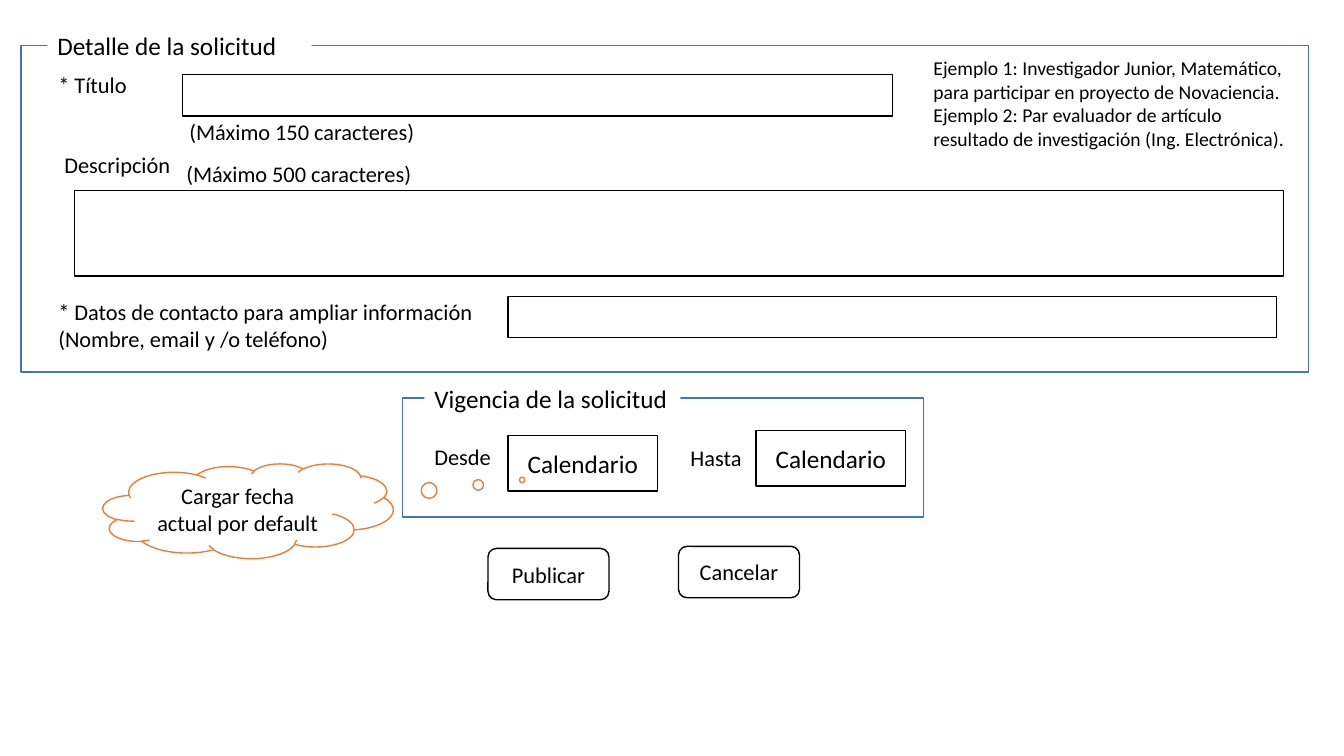
from pptx import Presentation
from pptx.dml.color import RGBColor
from pptx.enum.shapes import MSO_SHAPE
from pptx.enum.text import MSO_ANCHOR, PP_ALIGN
from pptx.util import Inches, Pt

BLACK, WHITE, BLUE, ORANGE = "000000", "FFFFFF", "4472C4", "ED7D31"


def color(value):
    """Turn a hex string into a colour."""
    return RGBColor.from_string(value)


def write(shape, lines, size=16, centred=False, wrap=True):
    """Write one paragraph per line into a shape."""
    frame = shape.text_frame
    frame.word_wrap = wrap
    frame.vertical_anchor = MSO_ANCHOR.MIDDLE if centred else MSO_ANCHOR.TOP
    font_format = {"name": "Calibri", "size": Pt(size)}
    for index, line in enumerate(lines):
        para = frame.paragraphs[0] if index == 0 else frame.add_paragraph()
        para.alignment = PP_ALIGN.CENTER if centred else PP_ALIGN.LEFT
        span = para.add_run()
        span.text = line
        span.font.color.rgb = color(BLACK)
        for name, value in font_format.items():
            setattr(span.font, name, value)


def add_label(page, box, *lines, size=16, wrap=False):
    """Add a plain text label."""
    label = page.shapes.add_textbox(*map(Inches, box))
    write(label, lines, size, wrap=wrap)
    return label


def add_outline(page, box, kind=MSO_SHAPE.RECTANGLE, line=BLACK, text=None, size=16):
    """Add a white outlined shape, with centred text if given."""
    shape = page.shapes.add_shape(kind, *map(Inches, box))
    shape.shadow.inherit = False
    shape.fill.solid()
    shape.fill.fore_color.rgb = color(WHITE)
    shape.line.color.rgb = color(line)
    shape.line.width = Pt(1)
    if text:
        write(shape, [text], size, centred=True)
    return shape


def add_group_frame(page, box, title, title_left, title_width):
    """Add a blue frame whose title interrupts the top edge."""
    left, top, width, height = box
    add_outline(page, box, line=BLUE)
    label = add_label(page, (left + title_left, top - 0.2, title_width, 0.4), title, size=18)
    label.fill.solid()
    label.fill.fore_color.rgb = color(WHITE)


def add_request_detail(page, box):
    """Add the request form with its fields, hints and examples."""
    left, top, width, height = box
    add_group_frame(page, box, "Detalle de la solicitud", 0.26, 2.62)
    for x, y, w, h in ((1.6, 0.29, 7.04, 0.41), (0.53, 1.44, 11.99, 0.85),
                       (4.83, 2.49, 7.62, 0.41)):
        add_outline(page, (left + x, top + y, w, h))
    labels = (
        (0.27, 0.21, 0.89, 0.37, ["* Título"]),
        (0.33, 1, 1.26, 0.37, ["Descripción"]),
        (1.57, 0.67, 3.42, 0.37, ["(Máximo 150 caracteres)"]),
        (1.54, 1.09, 3.42, 0.37, ["(Máximo 500 caracteres)"]),
        (0.27, 2.46, 4.36, 0.64, ["* Datos de contacto para ampliar información",
                                  "(Nombre, email y /o teléfono)"]),
    )
    for x, y, w, h, lines in labels:
        add_label(page, (left + x, top + y, w, h), *lines, wrap=w == 3.42)
    add_label(page, (left + 8.95, top + 0.06, 3.83, 1.04),
              "Ejemplo 1: Investigador Junior, Matemático, para participar en proyecto de Novaciencia.",
              "Ejemplo 2: Par evaluador de artículo resultado de investigación (Ing. Electrónica).",
              size=14, wrap=True)


def add_validity(page, box):
    """Add the start and end date pickers."""
    left, top, width, height = box
    add_group_frame(page, box, "Vigencia de la solicitud", 0.22, 2.54)
    dates = (("Desde", 0.22, 0.4, 0.77, 1.05, 0.37), ("Hasta", 2.76, 0.41, 0.71, 3.51, 0.32))
    for name, x, y, w, picker_x, picker_y in dates:
        add_label(page, (left + x, top + y, w, 0.37), name)
        add_outline(page, (left + picker_x, top + picker_y, 1.48, 0.55),
                    text="Calendario", size=18)


def add_date_note(page, box):
    """Add the cloud note pointing at the start date."""
    cloud = add_outline(page, box, MSO_SHAPE.CLOUD_CALLOUT, ORANGE,
                        "Cargar fecha actual por default")
    cloud.adjustments[0] = 0.944
    cloud.adjustments[1] = -0.328


def add_buttons(page, box):
    """Add the buttons at the two ends of the box."""
    left, top, width, height = box
    button_width, button_height = 1.2, 0.51
    add_outline(page, (left, top + height - button_height, button_width, button_height),
                MSO_SHAPE.ROUNDED_RECTANGLE, text="Publicar")
    add_outline(page, (left + width - button_width, top, button_width, button_height),
                MSO_SHAPE.ROUNDED_RECTANGLE, text="Cancelar")


def main():
    """Build and save the slide."""
    deck = Presentation()
    deck.slide_width, deck.slide_height = Inches(13.33), Inches(7.5)
    page = deck.slides.add_slide(deck.slide_layouts[6])
    add_request_detail(page, (0.21, 0.45, 12.77, 3.24))
    add_validity(page, (3.99, 3.95, 5.17, 1.18))
    add_buttons(page, (4.84, 5.42, 3.09, 0.53))
    add_date_note(page, (1.02, 4.6, 2.88, 0.94))
    deck.save("out.pptx")


if __name__ == "__main__":
    main()
